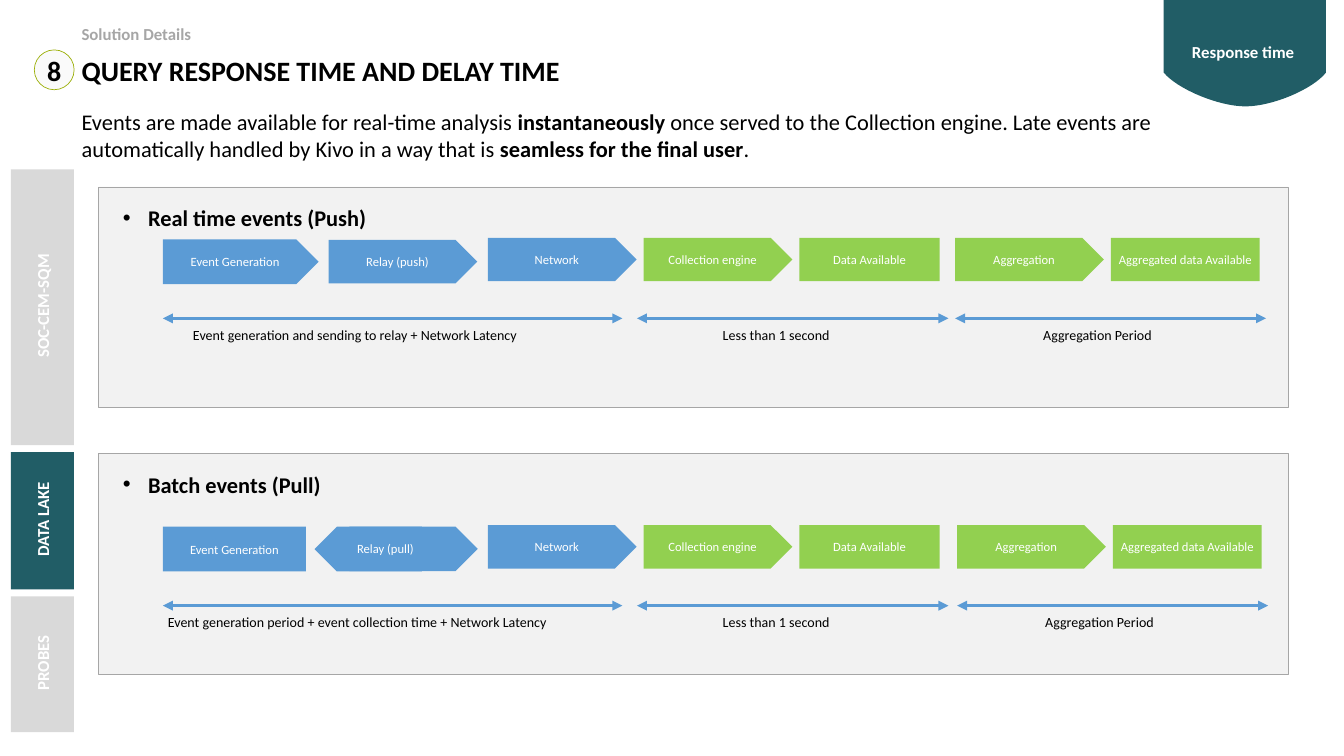
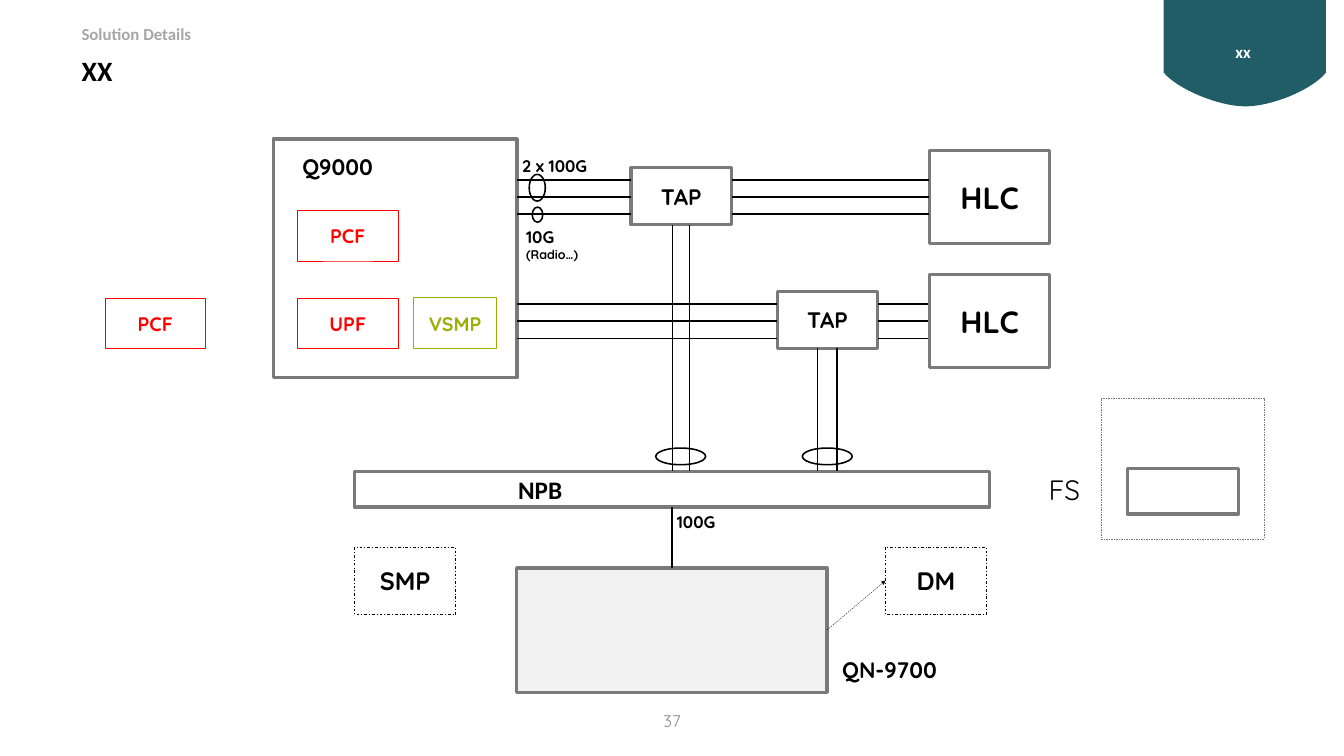
from dataclasses import dataclass
from typing import Optional

import lxml.etree
import pptx
import pptx.dml.color
import pptx.enum.dml
import pptx.enum.shapes
import pptx.enum.text
import pptx.oxml.ns
import pptx.util

Pt = pptx.util.Pt
qn = pptx.oxml.ns.qn
PRESET = pptx.enum.shapes.MSO_SHAPE
DASH = pptx.enum.dml.MSO_LINE
ALIGN = pptx.enum.text.PP_ALIGN
ANCHOR = pptx.enum.text.MSO_ANCHOR

COLORS = {
    "teal": "215D66", "white": "FFFFFF", "black": "000000", "panel": "F2F2F2",
    "panel_edge": "A6A6A6", "tab": "D9D9D9", "blue": "5B9BD5", "green": "92D050",
    "olive": "9AAE04", "red": "FF0000", "frame": "7A7A7A", "badge": "FAFAFA",
    "page": "8C8C8C",
}
BODY_FONT, DIAGRAM_FONT = "Calibri", "Quicksand"
LEFT = 109.4


@dataclass
class Stage:
    """One step of an event flow; top is relative to the flow."""
    text: str
    left: float
    top: float = 0
    width: float = 212.4
    height: float = 62
    color: str = "green"
    pointed: bool = True


@dataclass
class Span:
    """A measured stretch of time below a flow."""
    text: str
    start: float
    end: float
    text_left: float
    text_width: float


@dataclass
class Node:
    """A box of the network diagram."""
    text: str
    left: float
    top: float
    width: float = 144
    height: float = 72.7
    color: str = "frame"
    weight: float = 4.5
    size: float = 28
    fill: Optional[str] = None
    dash: Optional[DASH] = None
    indent: float = 7.2
    font: str = DIAGRAM_FONT


@dataclass
class Label:
    text: str
    left: float
    top: float
    width: float
    height: float
    size: float
    bold: bool = True


@dataclass
class Links:
    """Parallel lines, repeated at a fixed step across their direction."""
    x1: float
    y1: float
    x2: float
    y2: float
    count: int
    step_x: float = 0
    step_y: float = 0
    weight: float = 2.25


def rgb(name: str) -> pptx.dml.color.RGBColor:
    return pptx.dml.color.RGBColor.from_string(COLORS[name])


# Text: "**" switches bold, a line break starts a paragraph
def write(shape, text: str, *, size: float, color: str = "black", bold: bool = False,
          font: str = BODY_FONT, align=ALIGN.LEFT, anchor=ANCHOR.TOP, wrap: bool = True,
          insets=(7.2, 3.6, 7.2, 3.6), bullet: Optional[str] = None,
          spacing: Optional[float] = None) -> None:
    frame = shape.text_frame
    frame.auto_size = pptx.enum.text.MSO_AUTO_SIZE.NONE
    frame.word_wrap, frame.vertical_anchor = wrap, anchor
    (frame.margin_left, frame.margin_top,
     frame.margin_right, frame.margin_bottom) = map(Pt, insets)
    for number, line in enumerate(text.split("\n")):
        paragraph = frame.add_paragraph() if number else frame.paragraphs[0]
        paragraph.alignment, paragraph.space_before = align, Pt(0)
        if spacing:
            paragraph.line_spacing = spacing
        properties = paragraph._p.get_or_add_pPr()
        properties.set("marL", str(Pt(63.4) if bullet else 0))
        properties.set("indent", str(Pt(-36) if bullet else 0))
        if bullet:
            face = lxml.etree.SubElement(properties, qn("a:buFont"))
            face.set("typeface", "Arial")
            lxml.etree.SubElement(properties, qn("a:buChar")).set("char", bullet)
        else:
            lxml.etree.SubElement(properties, qn("a:buNone"))
        for part, words in enumerate(line.split("**")):
            run = paragraph.add_run()
            run.text = words
            run.font.name, run.font.size = font, Pt(size)
            run.font.bold = bold or part % 2 == 1
            run.font.color.rgb = rgb(color)


def place(shape, left: float, top: float, width: float, height: float) -> None:
    shape.left, shape.top, shape.width, shape.height = map(Pt, (left, top, width, height))


def add_box(slide, preset, left: float, top: float, width: float, height: float, *,
            fill: Optional[str] = None, line: Optional[str] = None,
            weight: float = 1, dash=None):
    box = slide.shapes.add_shape(preset, *map(Pt, (left, top, width, height)))
    box.shadow.inherit = False
    if fill:
        box.fill.solid()
        box.fill.fore_color.rgb = rgb(fill)
    else:
        box.fill.background()
    if line:
        box.line.color.rgb, box.line.width = rgb(line), Pt(weight)
        if dash:
            box.line.dash_style = dash
    else:
        box.line.fill.background()
    return box


def add_text(slide, text: str, left: float, top: float, width: float, height: float,
             **style):
    box = slide.shapes.add_textbox(*map(Pt, (left, top, width, height)))
    write(box, text, **style)
    return box


def add_line(slide, x1: float, y1: float, x2: float, y2: float, *, color: str = "black",
             weight: float = 2.25, dash=None, arrows=()) -> None:
    line = slide.shapes.add_connector(
        pptx.enum.shapes.MSO_CONNECTOR.STRAIGHT, *map(Pt, (x1, y1, x2, y2)))
    line.line.color.rgb, line.line.width = rgb(color), Pt(weight)
    if dash:
        line.line.dash_style = dash
    properties = line.element.spPr
    for end in arrows:
        head = lxml.etree.SubElement(properties.find(qn("a:ln")), qn(f"a:{end}"))
        head.set("type", "triangle")
    lxml.etree.SubElement(properties, qn("a:effectLst"))


# Shared parts
def bezier(start, control1, control2, end, steps: int = 16) -> list:
    weights = [((1 - t) ** 3, 3 * t * (1 - t) ** 2, 3 * t * t * (1 - t), t ** 3)
               for t in (step / steps for step in range(1, steps + 1))]
    corners = (start, control1, control2, end)
    return [tuple(sum(w * c[axis] for w, c in zip(weight, corners)) for axis in (0, 1))
            for weight in weights]


def add_banner(slide, layout) -> None:
    """Draw the corner banner and move it to the shared layout."""
    left, right, shoulder, bottom, middle = 1662.5, 1894.3, 103.7, 152, 1779.1
    outline = [(right, 0), (right, shoulder)]
    outline += bezier((right, shoulder), (1875.6, 127.4), (1818, bottom), (middle, bottom))
    outline += bezier((middle, bottom), (1741, bottom), (1682, 127.4), (left, shoulder))
    builder = slide.shapes.build_freeform(Pt(left), Pt(0))
    builder.add_line_segments([(Pt(x), Pt(y)) for x, y in outline], close=True)
    banner = builder.convert_to_shape()
    banner.shadow.inherit = False
    banner.fill.solid()
    banner.fill.fore_color.rgb = rgb("teal")
    banner.line.fill.background()
    banner.element.nvSpPr.cNvPr.set("id", "50")
    layout.shapes.element.insert(2, banner.element)


def add_slide(deck, layout, title: str, topic: str):
    slide = deck.slides.add_slide(layout)
    heading, tag = slide.shapes.title, slide.placeholders[1]
    place(heading, LEFT, 69.4, 1482.5, 112.3)
    write(heading, title, size=40, bold=True, insets=(7.2,) * 4)
    place(tag, 1632.2, 22.3, 287.3, 105.8)
    write(tag, topic, size=24, color="white", bold=True, align=ALIGN.CENTER,
          anchor=ANCHOR.MIDDLE, spacing=0.9)
    add_text(slide, "Solution Details", LEFT, 26, 780, 39.6, size=24,
             color="panel_edge", bold=True, insets=(7.2,) * 4)
    return slide


# Slide 1: event flows
def add_flow(slide, title: str, panel_top: float, flow_top: float,
             stages: list, spans: list) -> None:
    panel = add_box(slide, PRESET.RECTANGLE, 141, panel_top, 1699, 315.4,
                    fill="panel", line="panel_edge")
    write(panel, title, size=32, bold=True, bullet="•", insets=(7.2, 25.2, 7.2, 3.6))
    for stage in stages:
        block = add_box(slide, PRESET.PENTAGON, stage.left, flow_top + stage.top,
                        stage.width, stage.height, fill=stage.color)
        if not stage.pointed:
            block.adjustments[0] = 0
        if stage.text:
            write(block, stage.text, size=18, color="white", align=ALIGN.CENTER,
                  anchor=ANCHOR.MIDDLE)
        else:
            block.rotation = 180
    for span in spans:
        add_line(slide, span.start, flow_top + 115, span.end, flow_top + 115,
                 color="blue", weight=4.75, arrows=("headEnd", "tailEnd"))
        add_text(slide, span.text, span.text_left, flow_top + 123, span.text_width, 31.7,
                 size=20, wrap=False)


def late_stages(shift: float = 0) -> list:
    first, step = 697, 222.5
    return [
        Stage("Network", first, color="blue"),
        Stage("Collection engine", first + step),
        Stage("Data Available", first + 2 * step, width=200.2, pointed=False),
        Stage("Aggregation", first + 3 * step + shift),
        Stage("Aggregated data Available", first + 4 * step + shift, pointed=False),
    ]


def late_spans(shift: float = 0) -> list:
    return [Span("Less than 1 second", 910, 1355, 1025.3, 169.2),
            Span("Aggregation Period", 1364.5 + shift, 1808.6 + shift,
                 1483.2 + shift, 171.4)]


def build_response_slide(slide) -> None:
    push = [Stage("Event Generation", 232.6, 2.2, 222.5, 64, "blue"),
            Stage("Relay (push)", 469.4, 2.9, color="blue")]
    add_flow(slide, "Real time events (Push)", 267, 339.8, push + late_stages(),
             [Span("Event generation and sending to relay + Network Latency",
                   232.6, 889.2, 268.6, 486)] + late_spans())
    pull = [Stage("", 449.3, 2.2, 153.4, 64, "blue"),
            Stage("Event Generation", 232.6, 2.2, 204.5, 64, "blue", False),
            Stage("Relay (pull)", 499, 2.2, 183.6, 63.4, "blue")]
    add_flow(slide, "Batch events (Pull)", 647.3, 750.2, pull + late_stages(2.9),
             [Span("Event generation period + event collection time + Network Latency",
                   232.6, 889.2, 232.6, 561.6)] + late_spans(2.9))
    relay = next(s for s in slide.shapes if s.has_text_frame
                 and s.text_frame.text == "Relay (pull)")
    relay.text_frame.paragraphs[0].alignment = ALIGN.LEFT
    relay.text_frame.margin_left = Pt(11)

    add_text(slide, "Events are made available for real-time analysis **instantaneously** "
             "once served to the Collection engine. Late events are automatically handled "
             "by Kivo in a way that is **seamless for the final user**.",
             LEFT, 151.2, 1699, 85, size=32)

    # Side tabs
    tab_top, gap, thickness, center = 242, 10, 90, 60.5
    for name, length, color in (("SOC-CEM-SQM", 394, "tab"), ("DATA LAKE", 196, "teal"),
                                ("PROBES", 194, "tab")):
        tab = add_box(slide, PRESET.RECTANGLE, center - length / 2,
                      tab_top + (length - thickness) / 2, length, thickness, fill=color)
        tab.rotation = 270
        write(tab, name, size=24, color="white", bold=True, align=ALIGN.CENTER,
              anchor=ANCHOR.MIDDLE, insets=(11.5, 3.6, 7.2, 3.6))
        tab_top += length + gap

    section = add_box(slide, PRESET.OVAL, 49, 71.3, 56.9, 56.9, fill="badge", line="olive")
    write(section, "8", size=40, bold=True, align=ALIGN.CENTER, anchor=ANCHOR.MIDDLE,
          wrap=False)


# Slide 2: network diagram
NODES = [
    Node("", 738, 811.4, 443.5, 177.8, fill="panel"),
    Node("NPB", 506.2, 673.9, 907.9, 50.4, size=36, fill="white", indent=234,
         font=BODY_FONT),
    Node("VSMP", 591.1, 425.5, 118.1, color="olive", weight=1.5),
    Node("PCF", 149.8, 425.5, color="red", weight=1),
    Node("", 390.2, 198.7, 348.5, 340.6),
    Node("TAP", 901.4, 239.8, height=81.4, size=32),
    Node("TAP", 1110.2, 416.2, height=81.4, size=32),
    Node("HLC", 1327.7, 214.6, 172.1, 133.2, size=44),
    Node("HLC", 1327.7, 391.7, 172.1, 133.2, size=44),
    Node("", 1610.6, 668.9, 158.4, 65.5),
    Node("", 1572.5, 568.8, 234, 200.9, weight=0.5, dash=DASH.DASH),
    Node("SMP", 506.9, 781.9, height=95.8, color="black", weight=1, size=36,
         dash=DASH.DASH_DOT),
    Node("DM", 1265, 781.9, height=95.8, color="black", weight=1, size=36,
         dash=DASH.DASH_DOT),
    Node("UPF", 424.8, 425.5, color="red", weight=1),
    Node("PCF", 424.8, 300.2, color="red", weight=1),
]
LINKS = [
    Links(739, 257, 901.4, 257, 3, step_y=24.5),
    Links(1046, 257, 1327, 257, 3, step_y=24.5),
    Links(739, 434.4, 1110.2, 434.4, 3, step_y=24.5),
    Links(1254.2, 434.4, 1325.5, 434.4, 3, step_y=24.5),
    Links(960.5, 321, 960.5, 673, 2, step_x=24.5),
    Links(1167.8, 497.5, 1167.8, 673, 2, step_x=28),
    Links(959.8, 724.3, 959.8, 811.4, 1, weight=3),
]
LABELS = [
    Label("FS", 1491.1, 671, 81.4, 55.4, 40, bold=False),
    Label("Q9000", 424.8, 215.3, 131, 46, 32),
    Label("QN-9700", 1195.9, 933.1, 173.5, 46, 32),
    Label("100G", 959.8, 727.9, 131, 36, 24),
    Label("2 x 100G", 738.7, 218.2, 131, 36, 24),
    Label("10G\n(Radio…)", 744.5, 320.4, 131, 58.3, 24),
]
RINGS = [(756, 249.1, 23, 38.2), (760.3, 295.9, 15.1, 21.6),
         (936.7, 640.1, 71.3, 23.8), (1146.2, 640.1, 71.3, 23.8)]


def build_network_slide(slide) -> None:
    for node in NODES:
        box = add_box(slide, PRESET.RECTANGLE, node.left, node.top, node.width, node.height,
                      fill=node.fill, line=node.color, weight=node.weight, dash=node.dash)
        if node.text:
            write(box, node.text, size=node.size, bold=True, font=node.font,
                  color="black" if node.color == "frame" else node.color,
                  align=ALIGN.LEFT if node.indent > 7.2 else ALIGN.CENTER,
                  anchor=ANCHOR.MIDDLE, insets=(node.indent, 3.6, 7.2, 3.6))
    for links in LINKS:
        for number in range(links.count):
            dx, dy = number * links.step_x, number * links.step_y
            add_line(slide, links.x1 + dx, links.y1 + dy, links.x2 + dx, links.y2 + dy,
                     weight=links.weight)
    for label in LABELS:
        note = add_text(slide, label.text, label.left, label.top, label.width, label.height,
                        size=label.size, bold=label.bold, font=DIAGRAM_FONT)
        for detail in note.text_frame.paragraphs[1:]:
            detail.runs[0].font.size = Pt(18)
    for ring in RINGS:
        add_box(slide, PRESET.OVAL, *ring, line="black", weight=2.25)
    add_line(slide, 1181.5, 900, 1265, 829.4, weight=0.5, dash=DASH.DASH,
             arrows=("tailEnd",))
    add_text(slide, "37", 810, 1000.8, 300.2, 57.6, size=24, color="page",
             font=DIAGRAM_FONT, align=ALIGN.CENTER, anchor=ANCHOR.MIDDLE)


def main() -> None:
    deck = pptx.Presentation()
    deck.slide_width, deck.slide_height = Pt(1920), Pt(1080)
    layout = deck.slide_layouts[1]
    response = add_slide(deck, layout, "QUERY RESPONSE TIME AND DELAY TIME", "Response time")
    add_banner(response, layout)
    build_response_slide(response)
    build_network_slide(add_slide(deck, layout, "XX", "xx"))
    deck.save("out.pptx")


if __name__ == "__main__":
    main()
